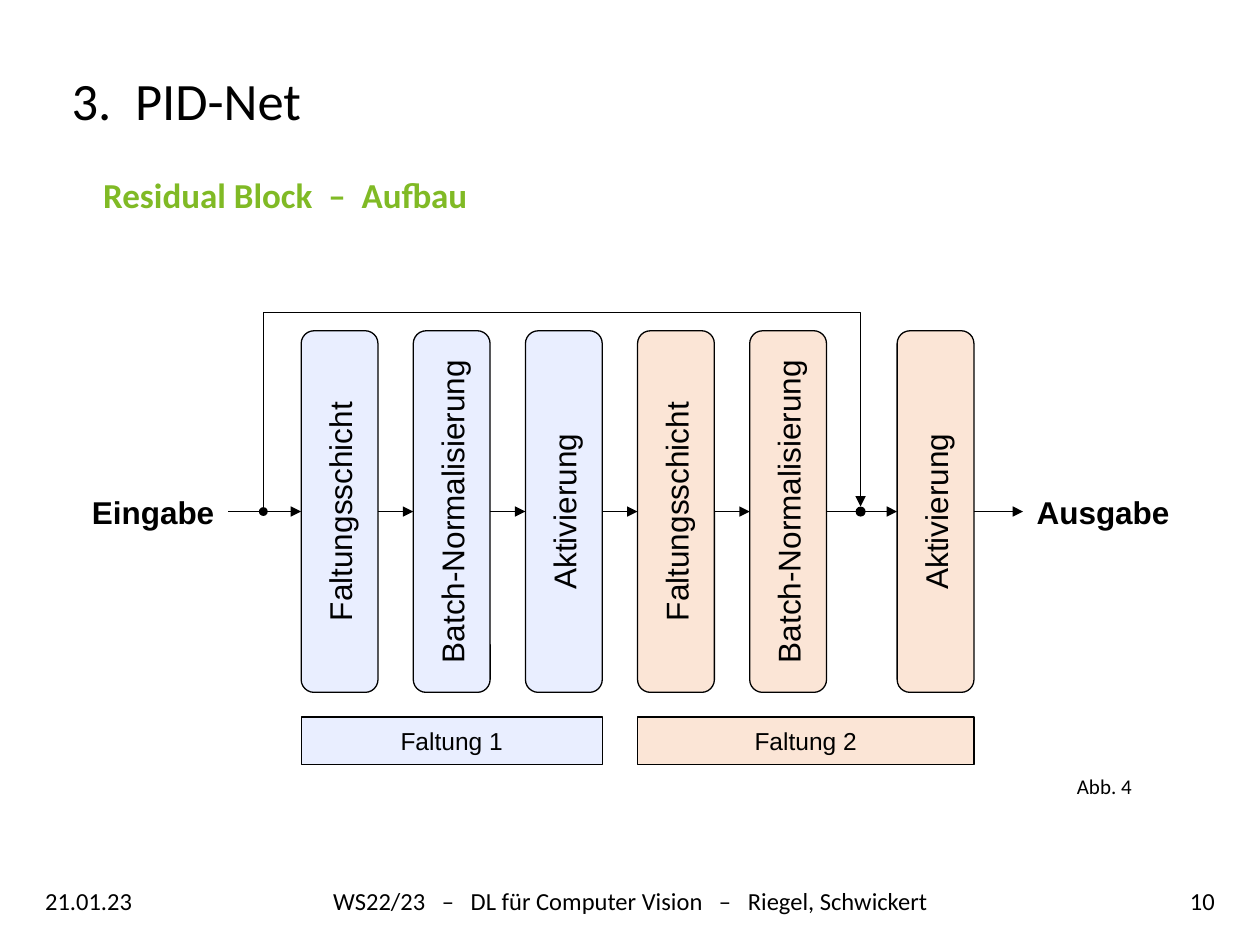
from lxml.etree import SubElement
from pptx import Presentation
from pptx.dml.color import RGBColor
from pptx.enum.shapes import MSO_CONNECTOR as LINE, MSO_SHAPE as SHAPE
from pptx.enum.text import MSO_ANCHOR as ANCHOR, PP_ALIGN as ALIGN
from pptx.oxml.ns import qn
from pptx.util import Inches, Pt

COLORS = {"ink": "000000", "accent": "80BA25", "first": "E9EEFF", "second": "FBE5D6"}
BLOCK_W, BLOCK_H, PITCH = 0.61, 2.87, 0.89
LAYERS = ["Faltungsschicht", "Batch-Normalisierung", "Aktivierung"]


def color(name):
    return RGBColor.from_string(COLORS[name])


def write(shape, text, size, font="Calibri", ink="ink", bold=False,
          align=ALIGN.LEFT, anchor=ANCHOR.MIDDLE, inset=None, spacing=None):
    frame = shape.text_frame
    settings = {"word_wrap": True, "vertical_anchor": anchor}
    if inset is not None:
        sides = ("left", "right", "top", "bottom")
        settings.update({f"margin_{side}": Inches(inset) for side in sides})
    for name, value in settings.items():
        setattr(frame, name, value)
    paragraph = frame.paragraphs[0]
    paragraph.alignment = align
    if spacing:
        paragraph.line_spacing = spacing
    run = paragraph.add_run()
    run.text = text
    for name, value in {"size": Pt(size), "name": font, "bold": bold}.items():
        setattr(run.font, name, value)
    run.font.color.rgb = color(ink)


def add_label(slide, box, text, size, **style):
    write(slide.shapes.add_textbox(*map(Inches, box)), text, size, **style)


def add_filled(slide, kind, box, fill, outlined=True):
    shape = slide.shapes.add_shape(kind, *map(Inches, box))
    shape.shadow.inherit = False
    shape.fill.solid()
    shape.fill.fore_color.rgb = color(fill)
    if outlined:
        shape.line.color.rgb = color("ink")
        shape.line.width = Pt(0.75)
    else:
        shape.line.fill.background()
    return shape


def style_arrow(shape):
    shape.line.color.rgb = color("ink")
    shape.line.width = Pt(0.5)
    SubElement(shape.line._get_or_add_ln(), qn("a:tailEnd"), type="triangle")


def add_arrow(slide, start, end, y):
    arrow = slide.shapes.add_connector(
        LINE.STRAIGHT, Inches(start), Inches(y), Inches(end), Inches(y))
    style_arrow(arrow)
    SubElement(arrow._element.spPr, qn("a:effectLst"))


def add_skip_path(slide, start, end, top, y):
    """Draw the shortcut that leaves at start, runs along top and drops at end."""
    corners = [(start, top), (end, top), (end, y - 0.04)]
    builder = slide.shapes.build_freeform(Inches(start), Inches(y))
    builder.add_line_segments(
        [(Inches(px), Inches(py)) for px, py in corners], close=False)
    skip = builder.convert_to_shape()
    skip.shadow.inherit = False
    skip.fill.background()
    style_arrow(skip)


def add_layer(slide, left, center_y, text, fill):
    """Add a block turned by 270 degrees, whose visible left edge is left."""
    box = (left + (BLOCK_W - BLOCK_H) / 2, center_y - BLOCK_W / 2, BLOCK_H, BLOCK_W)
    block = add_filled(slide, SHAPE.ROUNDED_RECTANGLE, box, fill)
    block.rotation = 270
    write(block, text, 18, "Arial", align=ALIGN.CENTER, inset=0.04)


def add_residual_block(slide, left, top):
    axis = top + 1.77
    lefts = [left + 1.77 + PITCH * i for i in range(5)] + [left + 6.5]
    input_end, output_start = left + 1.19, left + 7.5
    fills = ["first"] * 3 + ["second"] * 3

    for x, text, fill in zip(lefts, LAYERS * 2, fills):
        add_layer(slide, x, axis, text, fill)

    starts = [input_end] + [x + BLOCK_W for x in lefts]
    for start, end in zip(starts, lefts + [output_start]):
        add_arrow(slide, start, end, axis)

    branch, merge = left + 1.47, left + 6.21
    add_skip_path(slide, branch, merge, top + 0.19, axis)
    for x, size in ((branch, 0.07), (merge, 0.08)):
        dot = (x - size / 2, axis - size / 2, size, size)
        add_filled(slide, SHAPE.OVAL, dot, "ink", outlined=False)

    for x, width, text in ((left, 1.19, "Eingabe"), (output_start, 1.27, "Ausgabe")):
        add_label(slide, (x, axis - 0.18, width, 0.37), text, 18, font="Arial",
                  bold=True, align=ALIGN.CENTER, inset=0)

    for number, first, last in ((1, 0, 2), (2, 3, 5)):
        width = lefts[last] + BLOCK_W - lefts[first]
        bar = add_filled(slide, SHAPE.RECTANGLE,
                         (lefts[first], top + 3.4, width, 0.38), fills[first])
        write(bar, f"Faltung {number}", 14, "Arial", align=ALIGN.CENTER, inset=0)

    add_label(slide, (left + 7.73, top + 3.8, 0.83, 0.28), "Abb. 4", 12,
              align=ALIGN.CENTER, anchor=ANCHOR.TOP)


def add_heading(slide, left, top):
    add_label(slide, (left, top, 7.27, 0.85), "3.  PID-Net", 30, spacing=0.9)
    add_label(slide, (left + 0.25, top + 0.93, 3.14, 0.44),
              "Residual Block  –  Aufbau", 20, ink="accent", bold=True,
              anchor=ANCHOR.TOP)


def add_footer(slide, left, top):
    parts = [
        (0, 0.9, "21.01.23", ALIGN.LEFT),
        (1.11, 7.27, "WS22/23   –   DL für Computer Vision   –   Riegel, Schwickert",
         ALIGN.CENTER),
        (8.91, 0.57, "10", ALIGN.RIGHT),
    ]
    for offset, width, text, align in parts:
        add_label(slide, (left + offset, top, width, 0.4), text, 14, align=align)


def main():
    deck = Presentation()
    deck.slide_width, deck.slide_height = Inches(10), Inches(7.5)
    slide = deck.slides.add_slide(deck.slide_layouts[6])
    add_heading(slide, 0.47, 0.4)
    add_residual_block(slide, 0.62, 2.29)
    add_footer(slide, 0.26, 6.95)
    deck.save("out.pptx")


if __name__ == "__main__":
    main()
